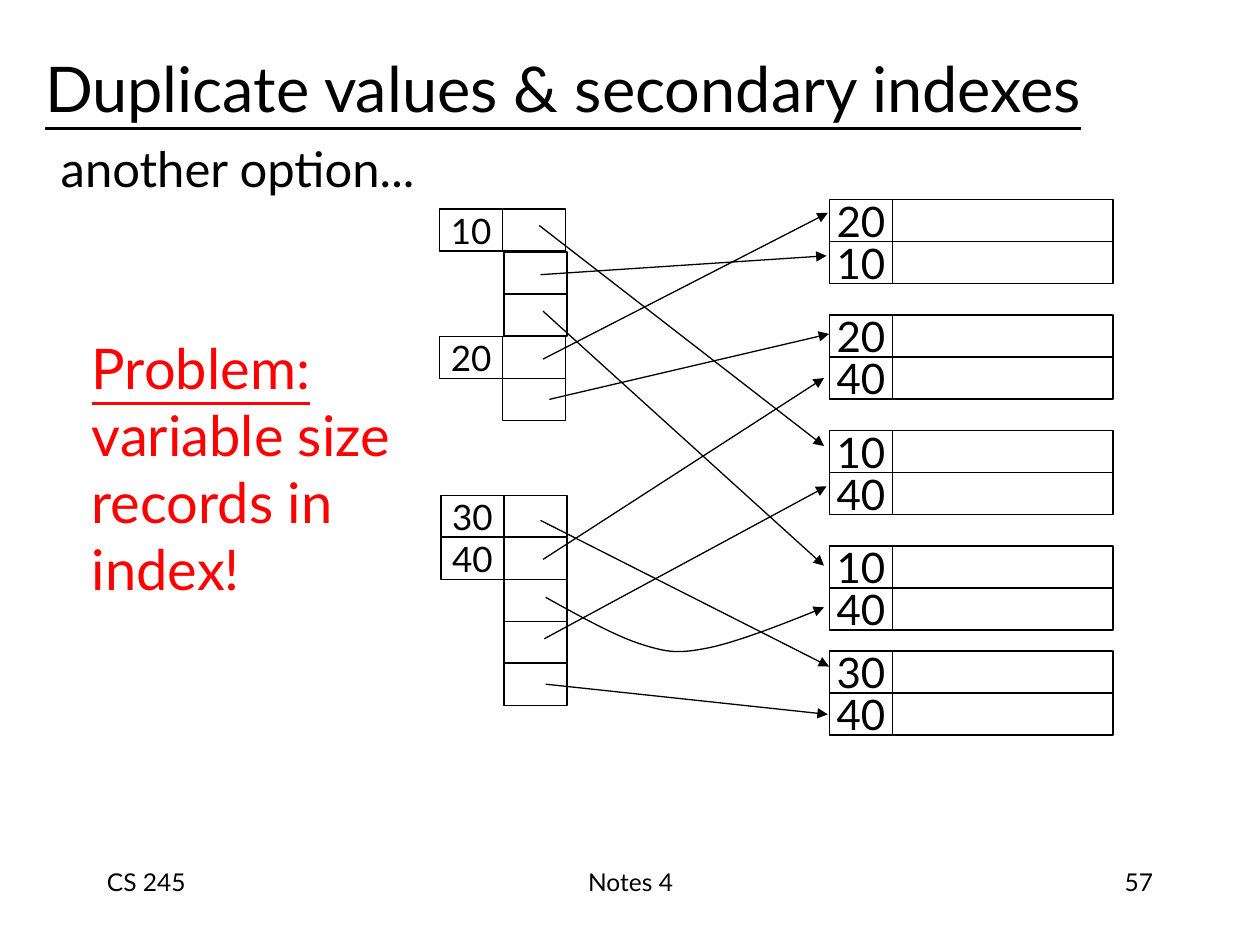
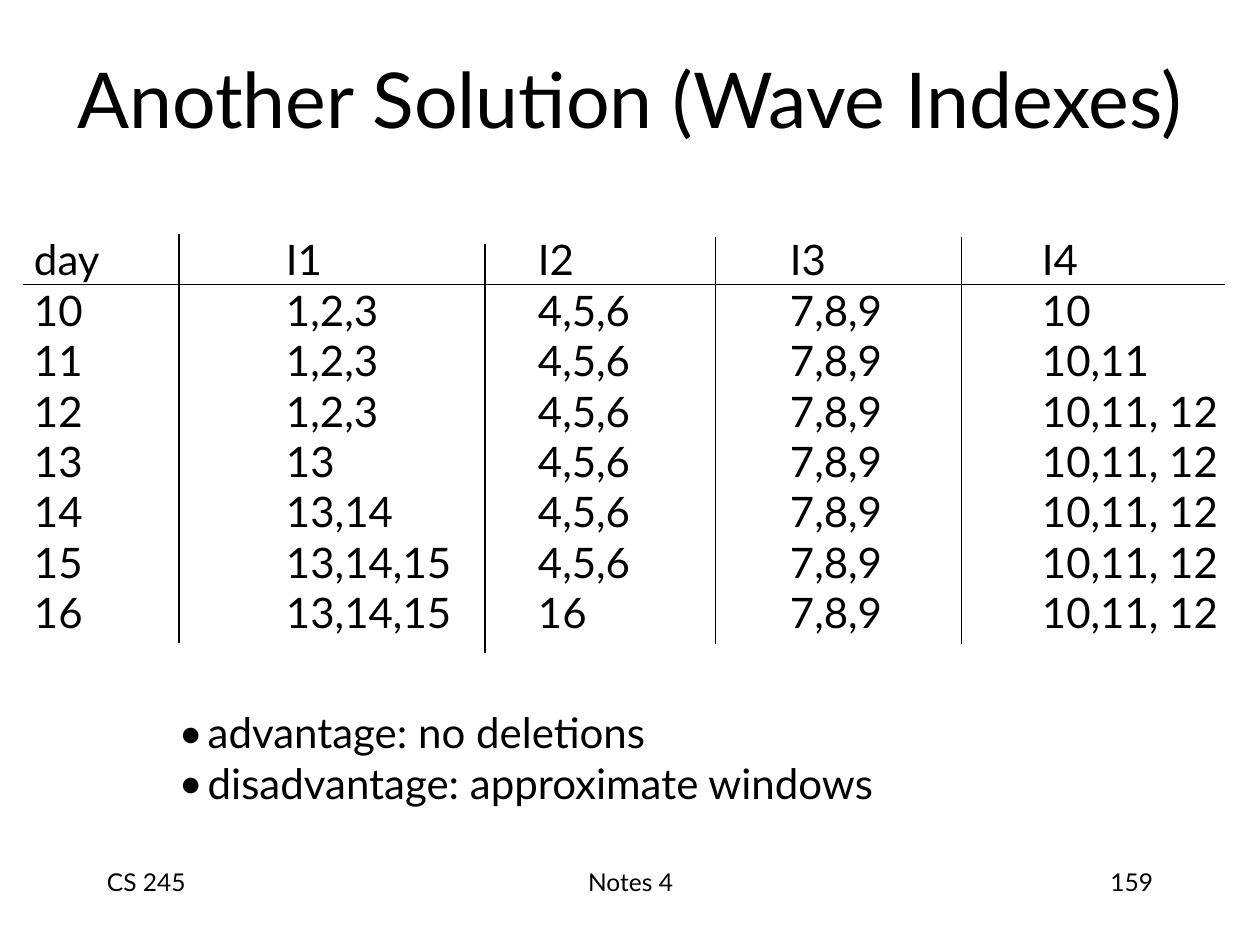
"""Build two lecture slides on secondary indexes and wave indexes."""
from lxml import etree
from pptx import Presentation
from pptx.dml.color import RGBColor
from pptx.enum.shapes import MSO_CONNECTOR, MSO_SHAPE
from pptx.enum.text import MSO_ANCHOR, PP_ALIGN
from pptx.oxml.ns import qn
from pptx.util import Inches, Pt

LEFT, CENTER, RIGHT = PP_ALIGN.LEFT, PP_ALIGN.CENTER, PP_ALIGN.RIGHT
TOP, MIDDLE = MSO_ANCHOR.TOP, MSO_ANCHOR.MIDDLE
RECTANGLE, STRAIGHT = MSO_SHAPE.RECTANGLE, MSO_CONNECTOR.STRAIGHT
FONT = "Lato"
BLACK, WHITE, RED = "000000", "FFFFFF", "FF0000"
ROW_HEIGHT = 1 / 3


def write(frame, lines, size, color=BLACK, align=LEFT, anchor=TOP, bullet=False):
    """Fill a text frame with one paragraph per line and return the paragraphs."""
    frame.word_wrap = True
    frame.vertical_anchor = anchor
    for number, line in enumerate(lines):
        paragraph = frame.paragraphs[0] if number == 0 else frame.add_paragraph()
        paragraph.text = line
        paragraph.alignment = align
        if bullet:
            properties = paragraph._p.get_or_add_pPr()
            properties.set("marL", str(Inches(0.23)))
            properties.set("indent", str(-Inches(0.23)))
            etree.SubElement(properties, qn("a:buFont"), typeface=FONT)
            etree.SubElement(properties, qn("a:buChar"), char="•")
        paragraph.font.name = FONT
        paragraph.font.size = Pt(size)
        paragraph.font.color.rgb = RGBColor.from_string(color)
    return frame.paragraphs


def style_line(shape, arrow=False):
    """Give a connector or curve a thin black line, without a shadow."""
    shape.line.color.rgb = RGBColor.from_string(BLACK)
    shape.line.width = Pt(0.75)
    properties = shape._element.spPr
    if arrow:
        etree.SubElement(properties.find(qn("a:ln")), qn("a:tailEnd"), type="triangle")
    etree.SubElement(properties, qn("a:effectLst"))


presentation = Presentation()
presentation.slide_width = Inches(10)
presentation.slide_height = Inches(7.5)
blank = presentation.slide_layouts[6]

slides = []
for title, box, size, align, underline, page in [
    ("Duplicate values & secondary indexes", (0.26, 0.2, 8.67, 0.99), 36, LEFT, True, "57"),
    ("Another Solution (Wave Indexes)", (0.37, 0.4, 9.26, 0.75), 44, CENTER, False, "159"),
]:
    slide = presentation.slides.add_slide(blank)
    slides.append(slide)
    for text, left, width, footer_align in [
        ("CS 245", 0.75, 2.08, LEFT),
        ("Notes 4", 3.42, 3.17, CENTER),
        (page, 7.17, 2.08, RIGHT),
    ]:
        footer = slide.shapes.add_textbox(Inches(left), Inches(6.83), Inches(width), Inches(0.5))
        write(footer.text_frame, [text], 14, align=footer_align)
    title_box = slide.shapes.add_textbox(*map(Inches, box))
    paragraphs = write(title_box.text_frame, [title], size, align=align, anchor=MIDDLE)
    paragraphs[0].font.underline = underline

duplicates, waves = slides

subtitle = duplicates.shapes.add_textbox(Inches(0.26), Inches(1.05), Inches(3.25), Inches(0.57))
write(subtitle.text_frame, ["another option..."], 28, align=CENTER, anchor=MIDDLE)

cells = []
record_left = 79 / 12
for twelfths, keys in [(19, "20 10"), (30, "20 40"), (41, "10 40"), (52, "10 40"), (62, "30 40")]:
    for row, key in enumerate(keys.split()):
        cell_top = twelfths / 12 + row * ROW_HEIGHT
        cells += [(record_left, cell_top, 0.5, key, 24), (record_left + 0.5, cell_top, 1.75, "", 24)]
for left, top, keys in [
    (3.49, 1.66, ["10"]),
    (3.5, 2, ["", ""]),
    (3.49, 2.67, ["20", ""]),
    (3.5, 3.93, ["30", "40", "", "", ""]),
]:
    for row, key in enumerate(keys):
        cell_top = top + row * ROW_HEIGHT
        if key:
            cells.append((left, cell_top, 0.5, key, 20))
        cells.append((left + 0.5, cell_top, 0.5, "", 20))

for left, top, width, text, size in cells:
    cell = duplicates.shapes.add_shape(
        RECTANGLE, Inches(left), Inches(top), Inches(width), Inches(ROW_HEIGHT)
    )
    cell.shadow.inherit = False
    cell.fill.solid()
    cell.fill.fore_color.rgb = RGBColor.from_string(WHITE)
    cell.line.color.rgb = RGBColor.from_string(BLACK)
    cell.line.width = Pt(0.75)
    if text:
        write(cell.text_frame, [text], size, align=CENTER, anchor=MIDDLE)
        cell.text_frame.word_wrap = False

pointers = [
    (4.28, 1.79, 6.54, 3.54),
    (4.29, 2.18, 6.56, 2.03),
    (4.31, 2.47, 6.54, 4.49),
    (4.31, 2.85, 6.57, 1.69),
    (4.36, 3.17, 6.58, 2.65),
    (4.29, 4.13, 6.58, 5.29),
    (4.31, 4.44, 6.54, 3),
    (4.33, 5.43, 6.57, 5.67),
    (4.32, 5.07, 6.56, 3.86),
]
for pointer in pointers:
    style_line(duplicates.shapes.add_connector(STRAIGHT, *map(Inches, pointer)), arrow=True)

curve_points = [
    (4.6, 4.89), (4.87, 5.04), (5.08, 5.11),
    (5.3, 5.18), (5.38, 5.19), (5.63, 5.14),
    (5.87, 5.09), (6.4, 4.88), (6.54, 4.82),
]
builder = duplicates.shapes.build_freeform(Inches(4.33), Inches(4.74))
builder.add_line_segments([(Inches(x), Inches(y)) for x, y in curve_points], close=False)
curve = builder.convert_to_shape()
curve.fill.background()
outline = next(curve._element.iter(qn("a:path")))
segments = outline.findall(qn("a:lnTo"))
for start in range(0, len(segments), 3):
    bezier = etree.SubElement(outline, qn("a:cubicBezTo"))
    for segment in segments[start:start + 3]:
        bezier.append(segment[0])
        outline.remove(segment)
style_line(curve, arrow=True)

problem = duplicates.shapes.add_textbox(Inches(0.63), Inches(2.59), Inches(2.76), Inches(2.24))
problem_lines = ["Problem:", "variable size", "records in", "index!"]
paragraphs = write(problem.text_frame, problem_lines, 32, color=RED, anchor=MIDDLE)
paragraphs[0].font.underline = True

days = [
    ("day", "I1", "I2", "I3", "I4"),
    ("10", "1,2,3", "4,5,6", "7,8,9", "10"),
    ("11", "1,2,3", "4,5,6", "7,8,9", "10,11"),
    ("12", "1,2,3", "4,5,6", "7,8,9", "10,11, 12"),
    ("13", "13", "4,5,6", "7,8,9", "10,11, 12"),
    ("14", "13,14", "4,5,6", "7,8,9", "10,11, 12"),
    ("15", "13,14,15", "4,5,6", "7,8,9", "10,11, 12"),
    ("16", "13,14,15", "16", "7,8,9", "10,11, 12"),
]
edges = [0.18, 1.42, 3.85, 5.68, 7.63, 9.78]
day_table = waves.shapes.add_table(
    len(days), len(days[0]), Inches(edges[0]), Inches(1.86),
    Inches(edges[-1] - edges[0]), Inches(0.4 * len(days)),
).table
day_table.first_row = day_table.horz_banding = False
for column, (left, right) in enumerate(zip(edges, edges[1:])):
    day_table.columns[column].width = Inches(right - left)
    for row, values in enumerate(days):
        cell = day_table.cell(row, column)
        cell.fill.solid()
        cell.fill.fore_color.rgb = RGBColor.from_string(WHITE)
        cell.margin_left = Inches(0.27 + 2 * column - left)
        cell.margin_right = cell.margin_top = cell.margin_bottom = 0
        write(cell.text_frame, [values[column]], 24)

rules = [
    (0.18, 2.26, 9.72, 2.26),
    (1.42, 1.86, 1.42, 5.1),
    (3.85, 1.94, 3.85, 5.18),
    (5.68, 1.88, 5.68, 5.11),
    (7.63, 1.88, 7.63, 5.11),
]
for rule in rules:
    style_line(waves.shapes.add_connector(STRAIGHT, *map(Inches, rule)))

remarks = waves.shapes.add_textbox(Inches(1.32), Inches(5.56), Inches(6.08), Inches(0.9))
remark_lines = ["advantage: no deletions", "disadvantage: approximate windows"]
write(remarks.text_frame, remark_lines, 24, bullet=True)

presentation.save("out.pptx")
